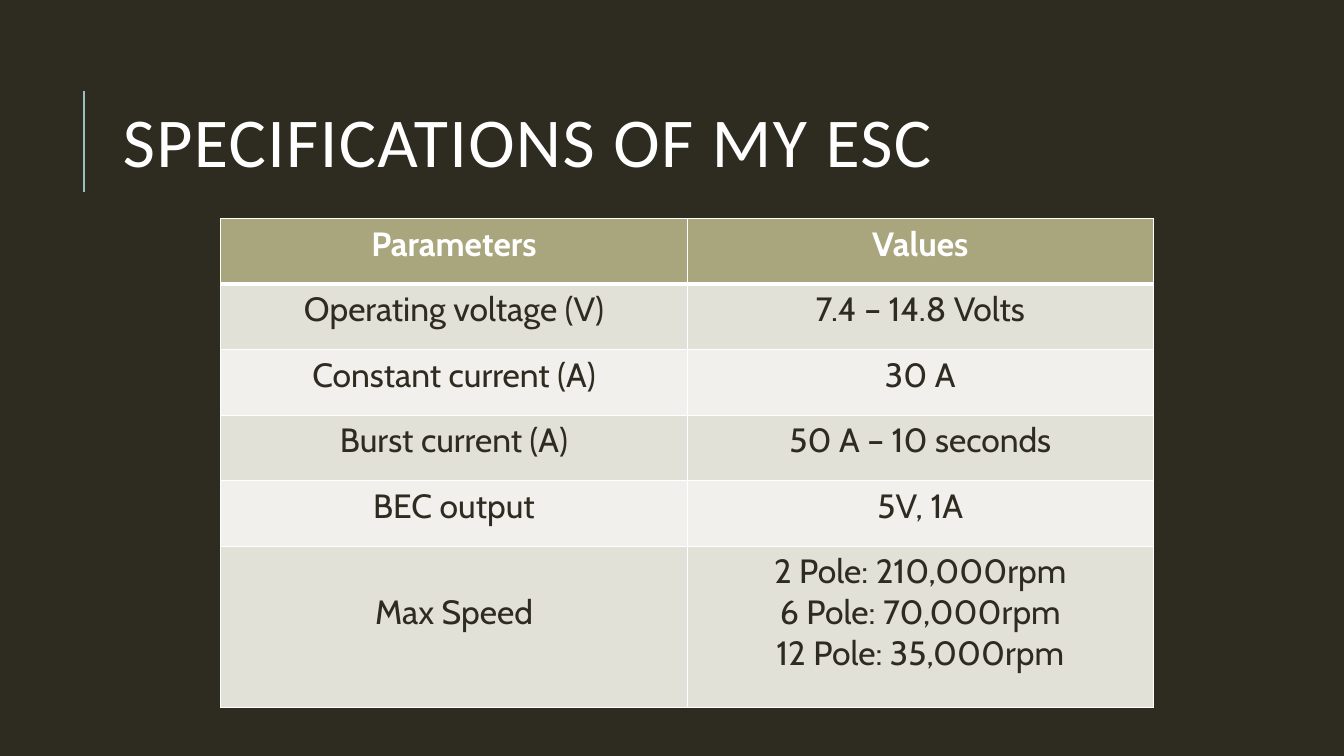
from lxml.etree import SubElement
from pptx import Presentation
from pptx.dml.color import RGBColor
from pptx.enum.shapes import MSO_CONNECTOR
from pptx.enum.text import MSO_ANCHOR, PP_ALIGN
from pptx.oxml import parse_xml
from pptx.oxml.ns import nsdecls, qn
from pptx.util import Inches, Pt


def color(value):
    return RGBColor.from_string(value)


def add_border(cell, side, points, position):
    border = parse_xml(
        f'<a:{side} {nsdecls("a")} w="{Pt(points)}"><a:solidFill>'
        f'<a:srgbClr val="{WHITE}"/></a:solidFill></a:{side}>'
    )
    cell._tc.get_or_add_tcPr().insert(position, border)


DARK = "2E2B21"
WHITE = "FFFFFF"
HEADER_FILL = "A9A57C"
BAND_FILLS = ["F1F0EC", "E2E1D7"]
LINE_HEIGHT = 0.4

specifications = [
    ("Parameters", "Values"),
    ("Operating voltage (V)", "7.4 – 14.8 Volts"),
    ("Constant current (A)", "30 A"),
    ("Burst current (A)", "50 A – 10 seconds"),
    ("BEC output", "5V, 1A"),
    ("Max Speed", "2 Pole: 210,000rpm\n6 Pole: 70,000rpm\n12 Pole: 35,000rpm"),
]

deck = Presentation()
deck.slide_width = Inches(13.33)
deck.slide_height = Inches(7.5)
page = deck.slides.add_slide(deck.slide_layouts[6])
page.background.fill.solid()
page.background.fill.fore_color.rgb = color(DARK)

accent = page.shapes.add_connector(
    MSO_CONNECTOR.STRAIGHT, Inches(0.83), Inches(1.9), Inches(0.83), Inches(0.9)
)
accent.line.color.rgb = color("9CBEBD")
accent.line.width = Pt(1.5)
SubElement(accent._element.spPr, qn("a:effectLst"))

title = page.shapes.add_textbox(Inches(1.12), Inches(0.64), Inches(10.63), Inches(1.64))
title.text_frame.word_wrap = True
title.text_frame.vertical_anchor = MSO_ANCHOR.MIDDLE
para = title.text_frame.paragraphs[0]
para.line_spacing = 0.8
span = para.add_run()
span.text = "SPECIFICATIONS OF MY ESC"
span.font._element.set("spc", "100")
para.font.name = "Calibri"
para.font.size = Pt(50)
para.font.color.rgb = color(WHITE)

table = page.shapes.add_table(
    len(specifications), 2, Inches(2.19), Inches(2.17), Inches(9.25), Inches(4.85)
).table
for row in table.rows:
    row.height = Inches(0.65)
table.rows[len(specifications) - 1].height = Inches(1.6)

for row_index, values in enumerate(specifications):
    is_header = row_index == 0
    for column_index, value in enumerate(values):
        cell = table.cell(row_index, column_index)
        cell.fill.solid()
        cell.fill.fore_color.rgb = color(HEADER_FILL if is_header else BAND_FILLS[row_index % 2])
        border_widths = {
            "lnL": 1,
            "lnR": 1,
            "lnT": 3 if row_index == 1 else 1,
            "lnB": 3 if is_header else 1,
        }
        for position, (side, points) in enumerate(border_widths.items()):
            add_border(cell, side, points, position)
        cell.text = value
        for para in cell.text_frame.paragraphs:
            para.alignment = PP_ALIGN.CENTER
            para.font.name = "Cabin"
            para.font.size = Pt(24)
            para.font.bold = is_header
            para.font.color.rgb = color(WHITE if is_header else DARK)

table.cell(len(specifications) - 1, 0).margin_top = Inches(0.05 + LINE_HEIGHT)

deck.save("out.pptx")
